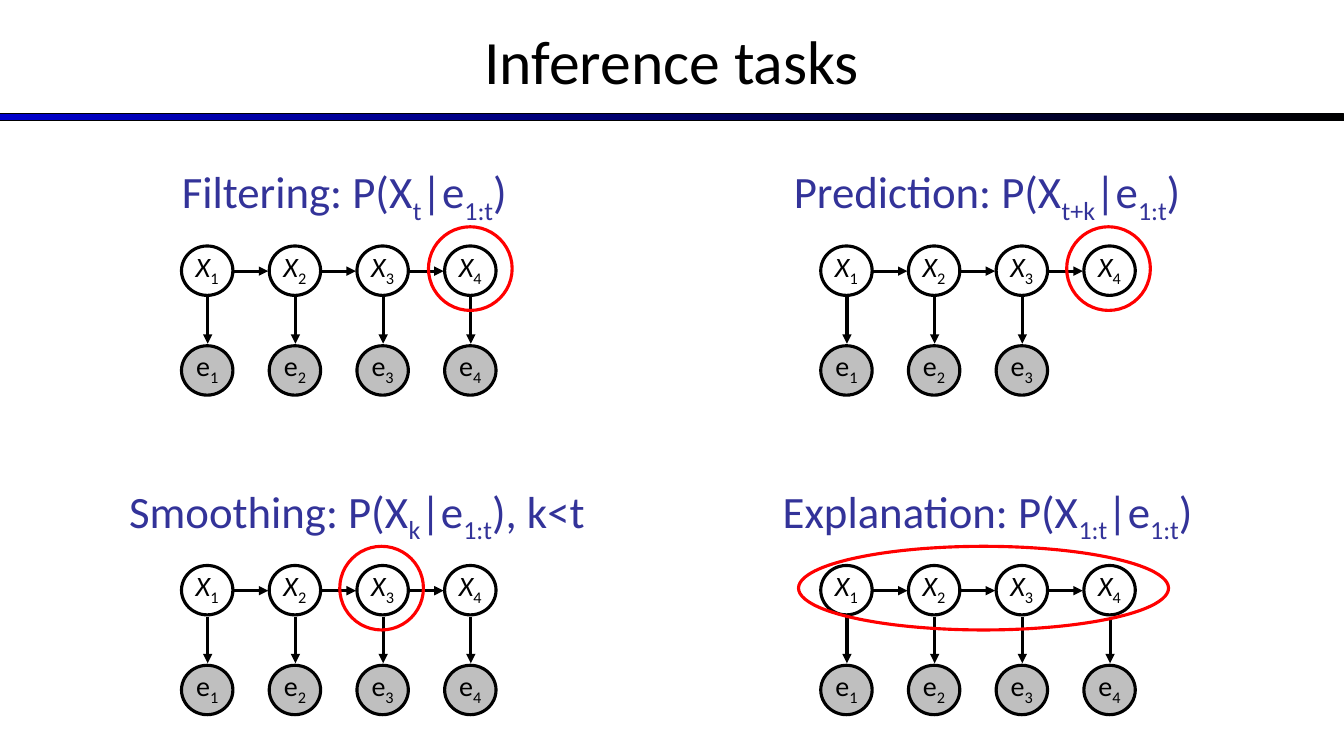
import pptx
import pptx.util
import pptx.dml.color
import pptx.enum.shapes
import pptx.enum.text
import pptx.oxml.ns
import lxml.etree

BLACK = pptx.dml.color.RGBColor(0x00, 0x00, 0x00)
WHITE = pptx.dml.color.RGBColor(0xFF, 0xFF, 0xFF)
GRAY = pptx.dml.color.RGBColor(0xBF, 0xBF, 0xBF)
RED = pptx.dml.color.RGBColor(0xFF, 0x00, 0x00)
BLUE = pptx.dml.color.RGBColor(0x00, 0x00, 0xCC)
INDIGO = pptx.dml.color.RGBColor(0x33, 0x33, 0x99)

EMU_PER_PX = 9144
SLIDE_WIDTH, SLIDE_HEIGHT = 1333, 750
NODE_WIDTH, NODE_HEIGHT = 51, 49
STEP_PITCH = 87
STEPS = 4
EVIDENCE_DROP = 99

LEFT_CHAIN, RIGHT_CHAIN = 180, 814
TOP_CHAIN, BOTTOM_CHAIN = 244, 561

TASKS = [
    (["Filtering: P(X", "t", "|e", "1:t", ")"], (150, 158, 383, 67),
     (LEFT_CHAIN, TOP_CHAIN), 4, (425, 225, 83, 83)),
    (["Prediction: P(X", "t+k", "|e", "1:t", ")"], (758, 158, 442, 67),
     (RIGHT_CHAIN, TOP_CHAIN), 3, (1058, 225, 83, 83)),
    (["Smoothing: P(X", "k", "|e", "1:t", "), k<t"], (100, 475, 508, 67),
     (LEFT_CHAIN, BOTTOM_CHAIN), 4, (337, 542, 83, 83)),
    (["Explanation: P(X", "1:t", "|e", "1:t", ")"], (717, 475, 525, 67),
     (RIGHT_CHAIN, BOTTOM_CHAIN), 4, (792, 542, 367, 83)),
]


def px(*lengths):
    return [pptx.util.Emu(length * EMU_PER_PX) for length in lengths]


class SlideBuilder:
    font_name = "Calibri"
    line_width = pptx.util.Pt(2.25)

    def __init__(self, slide):
        self.slide = slide

    def add_runs(self, text_frame, parts, size, color, italic_symbol=False):
        paragraph = text_frame.paragraphs[0]
        paragraph.alignment = pptx.enum.text.PP_ALIGN.CENTER
        for index, part in enumerate(parts):
            run = paragraph.add_run()
            run.text = part
            run.font.name = self.font_name
            run.font.size = pptx.util.Pt(size)
            run.font.color.rgb = color
            run.font.italic = italic_symbol and index == 0
            if index % 2:
                run._r.get_or_add_rPr().set("baseline", "-25000")

    def title(self, text):
        shape = self.slide.shapes.title
        shape.left, shape.top, shape.width, shape.height = px(0, -3, SLIDE_WIDTH, 125)
        shape.text_frame.auto_size = pptx.enum.text.MSO_AUTO_SIZE.NONE
        shape.text_frame.vertical_anchor = pptx.enum.text.MSO_ANCHOR.MIDDLE
        self.add_runs(shape.text_frame, [text], 44, BLACK)

    def title_bar(self):
        shape = self.slide.shapes.add_shape(
            pptx.enum.shapes.MSO_SHAPE.RECTANGLE, *px(0, 113, SLIDE_WIDTH, 7))
        shape.shadow.inherit = False
        shape.fill.gradient()
        shape.fill.gradient_angle = 0
        for stop, color in zip(shape.fill.gradient_stops, (BLUE, BLACK)):
            stop.color.rgb = color
        shape.line.color.rgb = BLACK
        shape.line.width = pptx.util.Pt(0.75)

    def heading(self, box, parts):
        shape = self.slide.shapes.add_textbox(*px(*box))
        shape.text_frame.word_wrap = True
        self.add_runs(shape.text_frame, parts, 32, INDIGO)

    def ellipse(self, box, line_color, fill_color=None):
        shape = self.slide.shapes.add_shape(
            pptx.enum.shapes.MSO_SHAPE.OVAL, *px(*box))
        shape.shadow.inherit = False
        if fill_color is None:
            shape.fill.background()
        else:
            shape.fill.solid()
            shape.fill.fore_color.rgb = fill_color
        shape.line.color.rgb = line_color
        shape.line.width = self.line_width
        return shape

    def node(self, left, top, symbol, step, fill_color, italic):
        shape = self.ellipse((left, top, NODE_WIDTH, NODE_HEIGHT), BLACK, fill_color)
        text_frame = shape.text_frame
        text_frame.word_wrap = False
        text_frame.vertical_anchor = pptx.enum.text.MSO_ANCHOR.MIDDLE
        text_frame.margin_left, text_frame.margin_right = px(10, 10)
        text_frame.margin_top, text_frame.margin_bottom = px(0, 5)
        self.add_runs(text_frame, [symbol, str(step)], 20, BLACK, italic)

    def arrow(self, *ends):
        connector = self.slide.shapes.add_connector(
            pptx.enum.shapes.MSO_CONNECTOR.STRAIGHT, *px(*ends))
        connector.line.color.rgb = BLACK
        connector.line.width = self.line_width
        qn = pptx.oxml.ns.qn
        lxml.etree.SubElement(
            connector.line._get_or_add_ln(), qn("a:tailEnd"), type="triangle")
        lxml.etree.SubElement(connector._element.spPr, qn("a:effectLst"))

    def chain(self, left, top, evidence_count):
        evidence_top = top + EVIDENCE_DROP
        for index in range(STEPS):
            x = left + index * STEP_PITCH
            step = index + 1
            self.node(x, top, "X", step, WHITE, True)
            if step < STEPS:
                y = top + 25
                self.arrow(x + NODE_WIDTH + 1, y, x + STEP_PITCH - 1, y)
            if step <= evidence_count:
                self.node(x, evidence_top, "e", step, GRAY, False)
                self.arrow(x + 26, top + NODE_HEIGHT + 2, x + 26, evidence_top - 2)


def main():
    presentation = pptx.Presentation()
    presentation.slide_width, presentation.slide_height = px(SLIDE_WIDTH, SLIDE_HEIGHT)
    slide = presentation.slides.add_slide(
        presentation.slide_layouts.get_by_name("Title Only"))
    builder = SlideBuilder(slide)
    builder.title_bar()
    builder.title("Inference tasks")
    for heading, heading_box, chain_corner, evidence_count, query_box in TASKS:
        builder.heading(heading_box, heading)
        builder.chain(*chain_corner, evidence_count)
        builder.ellipse(query_box, RED)
    presentation.save("out.pptx")


if __name__ == "__main__":
    main()
